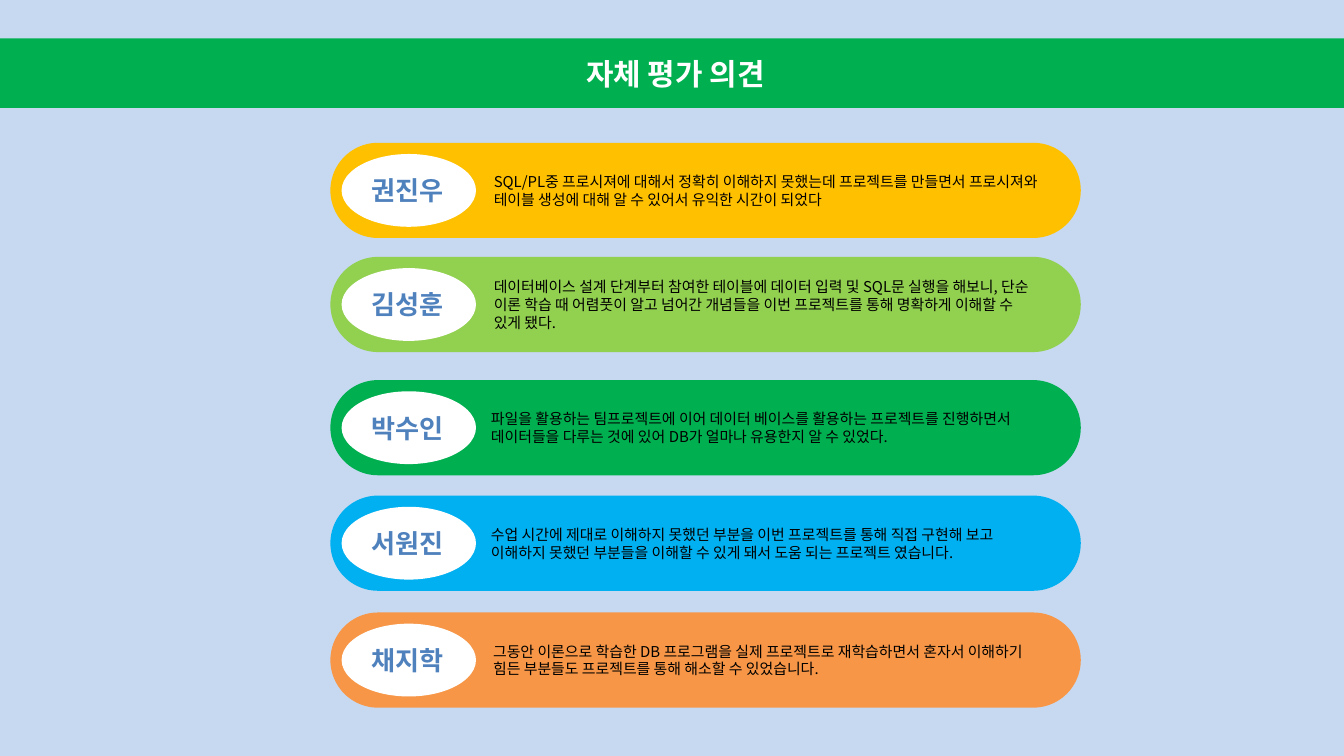
import dataclasses

import lxml.etree
import pptx
import pptx.dml.color
import pptx.enum.shapes
import pptx.enum.text
import pptx.oxml.ns
import pptx.util

SHAPE = pptx.enum.shapes.MSO_SHAPE
ALIGN = pptx.enum.text.PP_ALIGN
EMU_PER_PX = 9525


@dataclasses.dataclass(frozen=True)
class Theme:
    font: str = "Noto Sans CJK KR"
    background: str = "C6D9F1"
    banner: str = "00B050"
    title: str = "FFFFFF"
    badge: str = "FFFFFF"
    name: str = "4F81BD"
    body: str = "000000"
    title_size: int = 32
    name_size: int = 28
    body_size: int = 16


@dataclasses.dataclass(frozen=True)
class Opinion:
    name: str
    color: str
    top: int
    indent: int
    text_height: int
    text: str


THEME = Theme()
SLIDE_WIDTH, SLIDE_HEIGHT = 1920, 1080
CARD_LEFT, CARD_WIDTH, CARD_HEIGHT = 472, 1072, 136
TWO_LINES, THREE_LINES = 61, 87

# Some spaces in the texts are no-break spaces, which decide the line ends.
OPINIONS = [
    Opinion("권진우", "FFC000", 204, 224, TWO_LINES,
            "SQL/PL중 프로시져에 대해서 정확히 이해하지 못했는데 프로젝트를 "
            "만들면서 프로시져와 테이블 생성에 대해 알 수 있어서 유익한 시간이 되었다"),
    Opinion("김성훈", "92D050", 367, 224, THREE_LINES,
            "데이터베이스 설계 단계부터 참여한 테이블에 데이터 입력 및 SQL문 실행을 해보니, "
            "단순 이론 학습 때 어렴풋이 알고 넘어간 개념들을 이번 프로젝트를 통해 "
            "명확하게 이해할 수 있게 됐다."),
    Opinion("박수인", "00B050", 543, 220, TWO_LINES,
            "파일을 활용하는 팀프로젝트에 이어 데이터 베이스를 활용하는 프로젝트를 진행하면서 "
            "데이터들을 다루는 것에 있어 DB가 얼마나 유용한지 알 수 있었다."),
    Opinion("서원진", "00B0F0", 708, 220, TWO_LINES,
            "수업 시간에 제대로 이해하지 못했던 부분을 이번 프로젝트를 통해 직접 구현해 보고 "
            "이해하지 못했던 부분들을 이해할 수 있게 돼서 도움 되는 프로젝트 였습니다."),
    Opinion("채지학", "F79646", 875, 223, TWO_LINES,
            "그동안 이론으로 학습한 DB 프로그램을 실제 프로젝트로 재학습하면서 혼자서 이해하기 "
            "힘든 부분들도 프로젝트를 통해 해소할 수 있었습니다."),
]


def px(value):
    return pptx.util.Emu(round(value * EMU_PER_PX))


def rgb(color):
    return pptx.dml.color.RGBColor.from_string(color)


def add_filled_shape(slide, kind, box, color):
    shape = slide.shapes.add_shape(kind, *map(px, box))
    shape.shadow.inherit = False
    shape.fill.solid()
    shape.fill.fore_color.rgb = rgb(color)
    shape.line.fill.background()
    return shape


def add_text(slide, box, text, size, color, bold=False, alignment=ALIGN.CENTER):
    frame = slide.shapes.add_textbox(*map(px, box)).text_frame
    frame.word_wrap = True
    frame.auto_size = pptx.enum.text.MSO_AUTO_SIZE.SHAPE_TO_FIT_TEXT
    frame.vertical_anchor = pptx.enum.text.MSO_ANCHOR.MIDDLE
    paragraph = frame.paragraphs[0]
    paragraph.text = text
    paragraph.alignment = alignment
    font = paragraph.font
    font.name = THEME.font
    font.size = pptx.util.Pt(size)
    font.bold = bold
    font.color.rgb = rgb(color)
    # Korean letters take their typeface from a:ea, beside a:latin.
    qn = pptx.oxml.ns.qn
    latin = paragraph._p.find(".//" + qn("a:latin"))
    east_asian = lxml.etree.Element(qn("a:ea"), typeface=THEME.font)
    latin.addnext(east_asian)


def add_banner(slide, left, top, width, height):
    add_filled_shape(slide, SHAPE.RECTANGLE, (left, top, width, height), THEME.banner)
    title_width, title_height = 330, 61
    title_box = (left + (width - title_width) / 2, top + (height - title_height) / 2,
                 title_width, title_height)
    add_text(slide, title_box, " 자체 평가 의견", THEME.title_size, THEME.title, bold=True)


def add_opinion_card(slide, left, top, width, height, opinion):
    card = add_filled_shape(slide, SHAPE.ROUNDED_RECTANGLE,
                            (left, top, width, height), opinion.color)
    card.adjustments[0] = 0.5
    margin = 16
    add_filled_shape(slide, SHAPE.OVAL,
                     (left + margin, top + margin, 192, height - 2 * margin), THEME.badge)
    name_height = 55
    add_text(slide, (left + 12, top + (height - name_height) / 2, 197, name_height),
             opinion.name, THEME.name_size, THEME.name, bold=True)
    text_top = top + (height - opinion.text_height) / 2
    add_text(slide, (left + opinion.indent, text_top, 798, opinion.text_height),
             opinion.text, THEME.body_size, THEME.body, alignment=ALIGN.LEFT)


def main():
    presentation = pptx.Presentation()
    presentation.slide_width = px(SLIDE_WIDTH)
    presentation.slide_height = px(SLIDE_HEIGHT)
    slide = presentation.slides.add_slide(presentation.slide_layouts[6])
    slide.background.fill.solid()
    slide.background.fill.fore_color.rgb = rgb(THEME.background)
    add_banner(slide, 0, 55, SLIDE_WIDTH, 99)
    for opinion in OPINIONS:
        add_opinion_card(slide, CARD_LEFT, opinion.top, CARD_WIDTH, CARD_HEIGHT, opinion)
    presentation.save("out.pptx")


if __name__ == "__main__":
    main()
